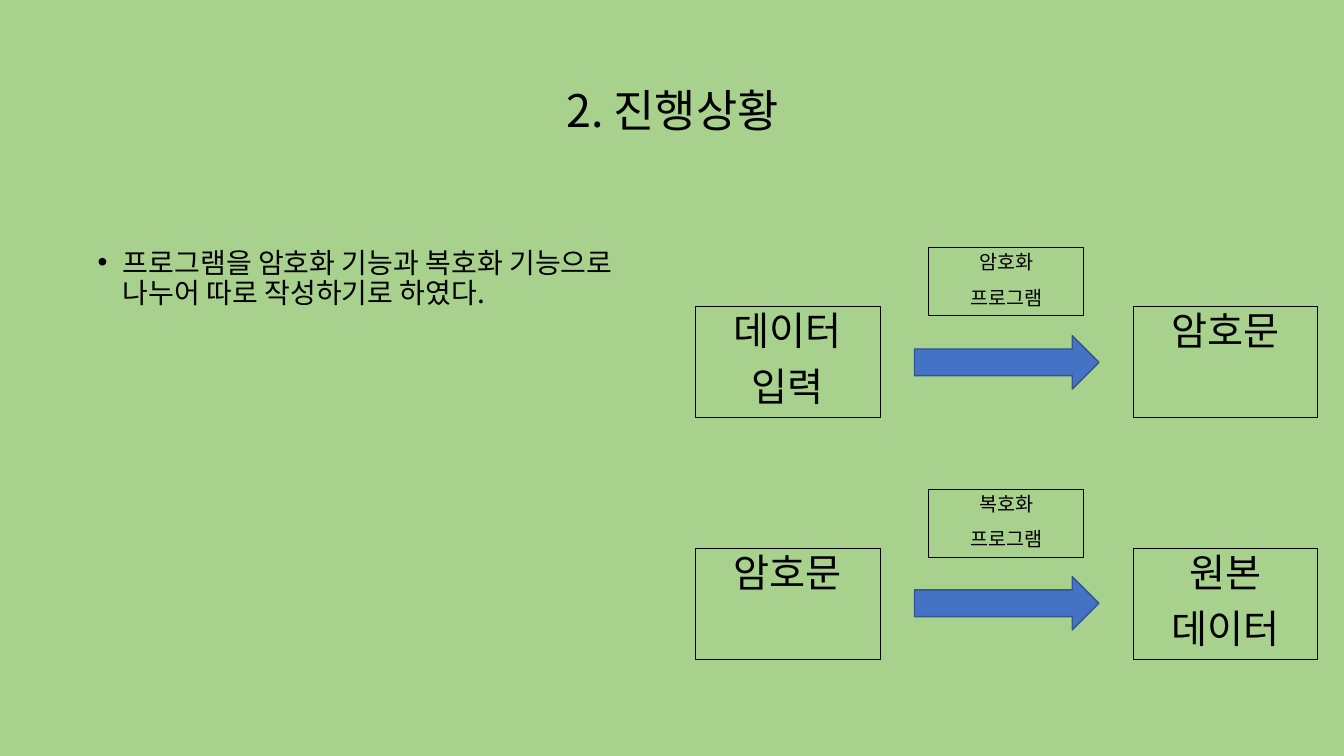
from dataclasses import dataclass

from lxml import etree
from pptx import Presentation
from pptx.dml.color import RGBColor
from pptx.enum import shapes, text
from pptx.oxml import ns
from pptx.util import Inches, Pt


@dataclass(frozen=True)
class Theme:
    font: str = "Noto Sans CJK KR"
    background: str = "A9D18E"
    ink: str = "000000"
    arrow: str = "4472C4"
    arrow_edge: str = "325491"
    title_size: int = 32
    bullet_size: int = 20
    data_size: int = 28
    program_size: int = 14


theme = Theme()

heading = "2. 진행상황"
decision = "프로그램을 암호화 기능과 복호화 기능으로 나누어 따로 작성하기로 하였다."
flows = [
    {"input": ["데이터", "입력"], "program": ["암호화", "프로그램"], "output": ["암호문"]},
    {"input": ["암호문"], "program": ["복호화", "프로그램"], "output": ["원본", "데이터"]},
]

first_flow_top, flow_pitch = 2.46, 2.4
input_left, output_left = 6.9, 11.24
data_width, data_height, data_drop = 1.83, 1.1, 0.58
program_width, program_height = 1.54, 0.67
arrow_width, arrow_height = 1.83, 0.53

deck = Presentation()
deck.slide_width, deck.slide_height = Inches(13.33), Inches(7.5)
slide = deck.slides.add_slide(deck.slide_layouts[6])
slide.background.fill.solid()
slide.background.fill.fore_color.rgb = RGBColor.from_string(theme.background)


def place(left, top, width, height):
    return [Inches(round(length, 2)) for length in (left, top, width, height)]


def write(frame, lines, size, align, before=10, anchor=text.MSO_ANCHOR.TOP):
    frame.word_wrap = True
    frame.vertical_anchor = anchor
    for index, line in enumerate(lines):
        paragraph = frame.add_paragraph() if index else frame.paragraphs[0]
        paragraph.text = line
        paragraph.alignment = align
        paragraph.line_spacing = 0.9
        paragraph.space_before = Pt(before)
        paragraph.font.size = Pt(size)
        paragraph.font.color.rgb = RGBColor.from_string(theme.ink)
        paragraph.font.name = theme.font
        defaults = paragraph._p.get_or_add_pPr().find(ns.qn("a:defRPr"))
        etree.SubElement(defaults, ns.qn("a:ea"), typeface=theme.font)


def add_shape(kind, box, edge, edge_width, fill=None):
    shape = slide.shapes.add_shape(kind, *box)
    shape.shadow.inherit = False
    if fill:
        shape.fill.solid()
        shape.fill.fore_color.rgb = RGBColor.from_string(fill)
    else:
        shape.fill.background()
    shape.line.color.rgb = RGBColor.from_string(edge)
    shape.line.width = Pt(edge_width)
    return shape


def add_step(lines, box, size):
    step = add_shape(shapes.MSO_SHAPE.RECTANGLE, box, theme.ink, 0.75)
    write(step.text_frame, lines, size, text.PP_ALIGN.CENTER)


title = slide.shapes.add_textbox(*place(0.92, 0.4, 11.5, 1.45))
write(title.text_frame, [heading], theme.title_size, text.PP_ALIGN.CENTER,
      before=0, anchor=text.MSO_ANCHOR.MIDDLE)

summary = slide.shapes.add_textbox(*place(0.87, 2.42, 5.35, 3.08))
write(summary.text_frame, [decision], theme.bullet_size, text.PP_ALIGN.LEFT)
bullet = summary.text_frame.paragraphs[0]._p.get_or_add_pPr()
bullet.set("marL", str(Inches(0.25)))
bullet.set("indent", str(-Inches(0.25)))
defaults = bullet.find(ns.qn("a:defRPr"))
for tag, attributes in (("a:buFont", {"typeface": "Arial"}), ("a:buChar", {"char": "•"})):
    defaults.addprevious(etree.Element(ns.qn(tag), attributes))

center = (input_left + output_left + data_width) / 2
for row, flow in enumerate(flows):
    program_top = first_flow_top + row * flow_pitch
    data_top = program_top + data_drop
    for role, left in (("input", input_left), ("output", output_left)):
        add_step(flow[role], place(left, data_top, data_width, data_height), theme.data_size)
    add_step(flow["program"],
             place(center - program_width / 2, program_top, program_width, program_height),
             theme.program_size)
    arrow_top = data_top + (data_height - arrow_height) / 2
    add_shape(shapes.MSO_SHAPE.RIGHT_ARROW,
              place(center - arrow_width / 2, arrow_top, arrow_width, arrow_height),
              theme.arrow_edge, 1, theme.arrow)

deck.save("out.pptx")
